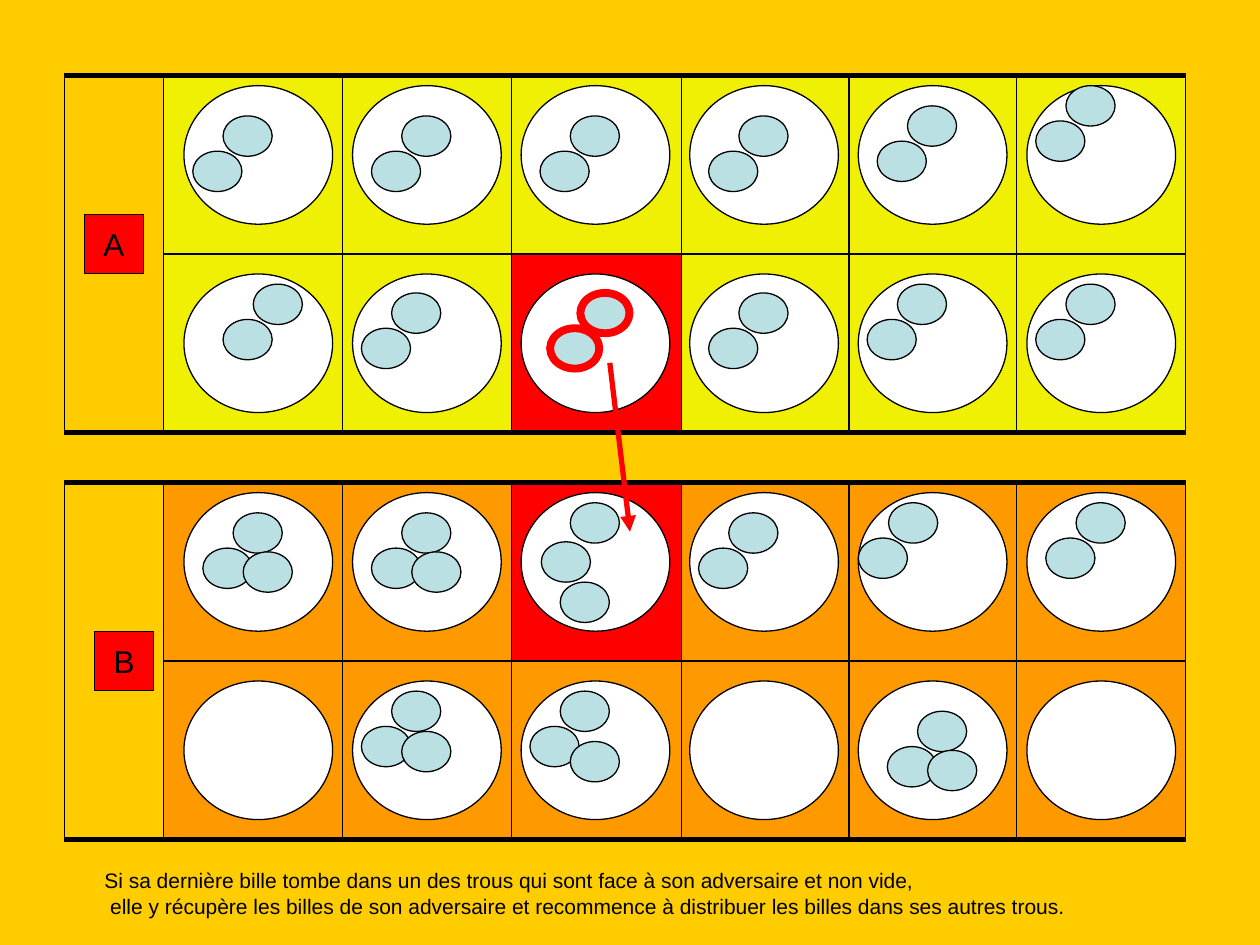
from dataclasses import dataclass
from lxml.etree import SubElement
from pptx import Presentation
from pptx.dml.color import RGBColor
from pptx.enum.shapes import MSO_CONNECTOR, MSO_SHAPE
from pptx.enum.text import MSO_ANCHOR, PP_ALIGN
from pptx.oxml.ns import qn
from pptx.util import Inches, Pt


@dataclass(frozen=True)
class Theme:
    background: str = "FFCC00"
    highlight: str = "FF0000"
    hole: str = "FFFFFF"
    marble: str = "BBE0E3"
    ink: str = "000000"
    font: str = "Arial"
    badge_size: int = 18
    caption_size: int = 12
    thin: float = 0.75
    divider: float = 1
    heavy: float = 3
    taken: float = 4.5


THEME = Theme()

CAPTION = [
    "Si sa dernière bille tombe dans un des trous qui sont face à son adversaire et non vide,",
    " elle y récupère les billes de son adversaire et recommence à distribuer les billes dans ses autres trous.",
]


def pair(x, y):
    """Return two touching marbles, the second lower and to the left."""
    return [(x, y), (x - 0.24, y + 0.28)]


BOARDS = [
    {
        "player": "A", "top": 0.6, "color": "F0F004", "badge": (0.67, 1.7),
        "highlight": (1, 2), "taken": (1, 2),
        "holes": [
            [pair(0.31, 0.24), pair(0.39, 0.24), pair(0.39, 0.24),
             pair(0.39, 0.24), pair(0.39, 0.16), pair(0.31, 0)],
            [pair(0.55, 0.08), pair(0.31, 0.15), pair(0.47, 0.15),
             pair(0.39, 0.15), pair(0.31, 0.08), pair(0.31, 0.08)],
        ],
    },
    {
        "player": "B", "top": 3.83, "color": "FF9900", "badge": (0.75, 5.01),
        "highlight": (0, 2), "taken": None,
        "holes": [
            [pair(0.39, 0.16) + [(0.47, 0.47)], pair(0.39, 0.16) + [(0.47, 0.47)],
             [(0.39, 0.08), (0.16, 0.39), (0.31, 0.71)],
             pair(0.31, 0.16), pair(0.24, 0.08), pair(0.39, 0.08)],
            [[], pair(0.31, 0.08) + [(0.39, 0.4)], pair(0.31, 0.08) + [(0.39, 0.48)],
             [], pair(0.47, 0.24) + [(0.55, 0.55)], []],
        ],
    },
]

BOARD_LEFT = 0.51
COLUMN_EDGES = [1.3, 2.72, 4.06, 5.41, 6.74, 8.07, 9.41]
ROW_HEIGHT = 1.415
BOARD_HEIGHT = 2 * ROW_HEIGHT
HOLE_LEFT, HOLE_PITCH = 1.46, 1.338
HOLE_TOP, HOLE_ROW_PITCH = 0.08, 1.495
HOLE_SIZE = (1.18, 1.1)
MARBLE_SIZE = (0.39, 0.32)
BADGE_SIZE = (0.47, 0.47)
CAPTURE = ((4.84, 2.88), (5, 4.22))


def add_part(slide, kind, position, size, fill, line=THEME.ink, width=THEME.thin):
    """Add an outlined preset shape, unfilled when fill is None."""
    part = slide.shapes.add_shape(kind, *map(Inches, (*position, *size)))
    part.shadow.inherit = False
    if fill:
        part.fill.solid()
        part.fill.fore_color.rgb = RGBColor.from_string(fill)
    else:
        part.fill.background()
    part.line.color.rgb = RGBColor.from_string(line)
    part.line.width = Pt(width)
    return part


def add_line(slide, start, end, width, color=THEME.ink):
    """Add a straight connector without a shadow."""
    line = slide.shapes.add_connector(MSO_CONNECTOR.STRAIGHT, *map(Inches, (*start, *end)))
    line.line.color.rgb = RGBColor.from_string(color)
    line.line.width = Pt(width)
    SubElement(line._element.spPr, qn("a:effectLst"))
    return line


def style_text(paragraph, text, size):
    """Fill a paragraph in the theme font and ink."""
    paragraph.text = text
    paragraph.font.name = THEME.font
    paragraph.font.size = Pt(size)
    paragraph.font.color.rgb = RGBColor.from_string(THEME.ink)


def add_grid(slide, board):
    """Draw a board's cells, side panel and rules."""
    top, right = board["top"], COLUMN_EDGES[-1]
    for row in range(2):
        for column, (left, edge) in enumerate(zip(COLUMN_EDGES, COLUMN_EDGES[1:])):
            fill = THEME.highlight if (row, column) == board["highlight"] else board["color"]
            add_part(slide, MSO_SHAPE.RECTANGLE, (left, top + row * ROW_HEIGHT),
                     (edge - left, ROW_HEIGHT), fill)
    panel = add_part(slide, MSO_SHAPE.RECTANGLE, (BOARD_LEFT, top),
                     (COLUMN_EDGES[0] - BOARD_LEFT, BOARD_HEIGHT), None)
    for y in (top, top + BOARD_HEIGHT):
        add_line(slide, (BOARD_LEFT, y), (right, y), THEME.heavy)
    middle = top + ROW_HEIGHT
    divider = add_line(slide, (COLUMN_EDGES[0], middle), (right, middle), THEME.divider)
    divider.begin_connect(panel, 3)


def add_holes(slide, board):
    """Draw a board's holes and the marbles in them."""
    for row, holes in enumerate(board["holes"]):
        for column, marbles in enumerate(holes):
            left = HOLE_LEFT + column * HOLE_PITCH
            top = board["top"] + HOLE_TOP + row * HOLE_ROW_PITCH
            add_part(slide, MSO_SHAPE.OVAL, (left, top), HOLE_SIZE, THEME.hole)
            taken = (row, column) == board["taken"]
            outline = (THEME.highlight, THEME.taken) if taken else (THEME.ink, THEME.thin)
            for x, y in marbles:
                add_part(slide, MSO_SHAPE.OVAL, (left + x, top + y), MARBLE_SIZE,
                         THEME.marble, *outline)


def add_badge(slide, board):
    """Draw the player's letter on a red square."""
    badge = add_part(slide, MSO_SHAPE.RECTANGLE, board["badge"], BADGE_SIZE, THEME.highlight)
    frame = badge.text_frame
    frame.word_wrap = False
    frame.vertical_anchor = MSO_ANCHOR.MIDDLE
    style_text(frame.paragraphs[0], board["player"], THEME.badge_size)
    frame.paragraphs[0].alignment = PP_ALIGN.CENTER


def add_caption(slide):
    """Write the rule below the boards."""
    frame = slide.shapes.add_textbox(*map(Inches, (0.73, 6.84, 7.98, 0.5))).text_frame
    frame.word_wrap = True
    for index, sentence in enumerate(CAPTION):
        paragraph = frame.add_paragraph() if index else frame.paragraphs[0]
        style_text(paragraph, sentence, THEME.caption_size)


def main():
    """Build the sowing-game slide."""
    deck = Presentation()
    deck.slide_width, deck.slide_height = Inches(10), Inches(7.5)
    slide = deck.slides.add_slide(deck.slide_layouts[6])
    slide.background.fill.solid()
    slide.background.fill.fore_color.rgb = RGBColor.from_string(THEME.background)
    for board in BOARDS:
        add_grid(slide, board)
        add_holes(slide, board)
        add_badge(slide, board)
    capture = add_line(slide, *CAPTURE, THEME.heavy, THEME.highlight)
    SubElement(capture.line._get_or_add_ln(), qn("a:tailEnd"), type="triangle")
    add_caption(slide)
    deck.save("out.pptx")


if __name__ == "__main__":
    main()
